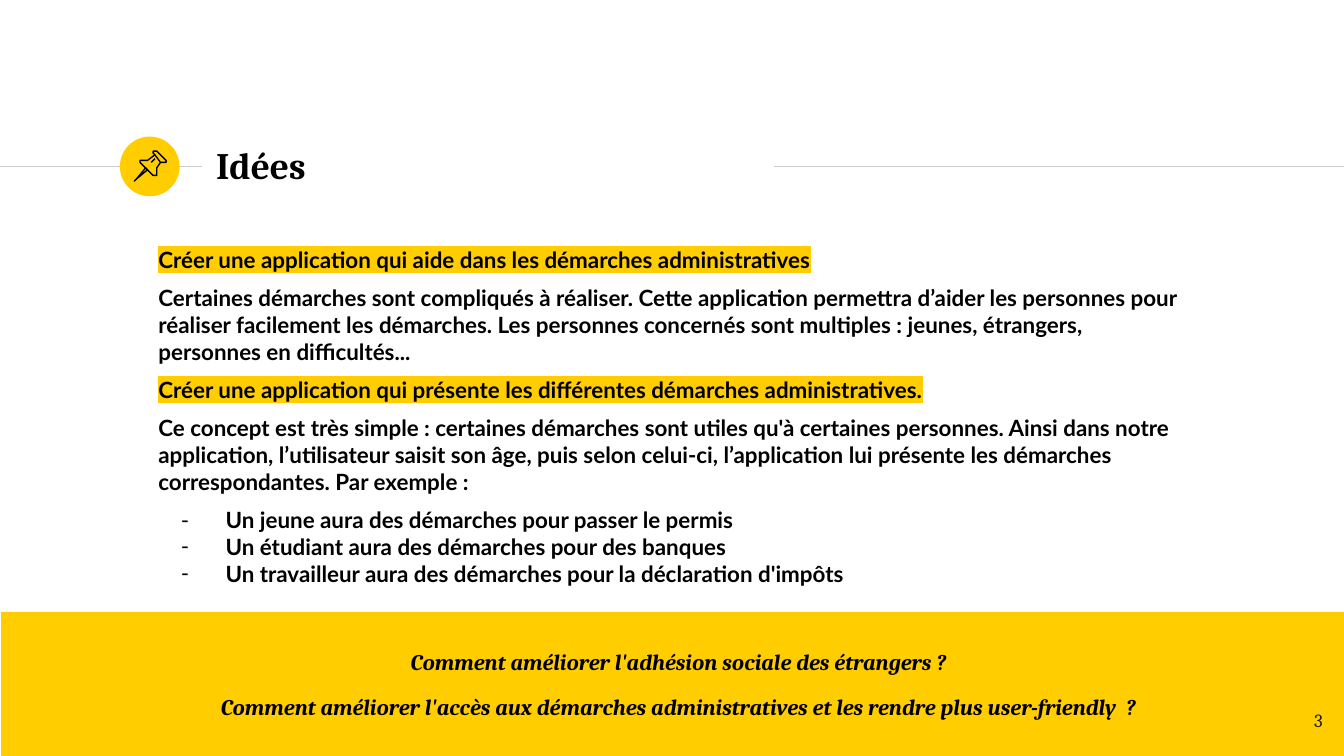
"""Build the "Idées" slide with its pin badge, idea list and closing band."""
from lxml import etree
from pptx import Presentation
from pptx.dml.color import RGBColor
from pptx.enum.shapes import MSO_CONNECTOR, MSO_SHAPE
from pptx.enum.text import MSO_ANCHOR, PP_ALIGN
from pptx.oxml.ns import qn
from pptx.util import Pt

LINE = MSO_CONNECTOR.STRAIGHT
OVAL, RECT = MSO_SHAPE.OVAL, MSO_SHAPE.RECTANGLE
TOP, MID = MSO_ANCHOR.TOP, MSO_ANCHOR.MIDDLE
LEFT, MIDDLE, RIGHT = PP_ALIGN.LEFT, PP_ALIGN.CENTER, PP_ALIGN.RIGHT

COLORS = {"gold": "FFCD00", "black": "000000", "grey": "CCCCCC", "ink": "1D1D1B"}
WIDE, HIGH = 720, 405
RULE_Y = 89.3
RULES = [(0, 108), (414.7, WIDE)]

IDEAS = [
    ("Créer une application qui aide dans les démarches administratives",
     "Certaines démarches sont compliqués à réaliser. Cette application permettra "
     "d’aider les personnes pour réaliser facilement les démarches. Les personnes "
     "concernés sont multiples : jeunes, étrangers, personnes en difficultés..."),
    ("Créer une application qui présente les différentes démarches administratives.",
     "Ce concept est très simple : certaines démarches sont utiles qu'à certaines "
     "personnes. Ainsi dans notre application, l’utilisateur saisit son âge, puis "
     "selon celui-ci, l’application lui présente les démarches correspondantes. "
     "Par exemple :"),
]
CASES = [
    "Un jeune aura des démarches pour passer le permis",
    "Un étudiant aura des démarches pour des banques",
    "Un travailleur aura des démarches pour la déclaration d'impôts",
]
ASKS = [
    "Comment améliorer l'adhésion sociale des étrangers ?",
    "Comment améliorer l'accès aux démarches administratives et les rendre plus "
    "user-friendly  ?",
]

PIN = [
    ([(77.8, 90), (72.7, 96.5), (72, 97.2), (73.4, 96.5), (79.2, 91.4)], True),
    ([(82.8, 82.8), (86.4, 87.1), (87.8, 87.1), (88.6, 86.6), (89.3, 85.7),
      (83.5, 80.6), (82.8, 80.6), (82.1, 81.4), (82.1, 82.1)], True),
    ([(82.8, 82.8), (79.2, 85.7), (75.6, 85.7), (74.9, 86.4), (74.9, 87.1),
      (82.1, 94.3), (82.8, 94.3), (83.5, 93.6), (83.5, 90), (86.4, 87.1)], False),
    ([(80.6, 87.1), (82.8, 85)], False),
]


def paint(name):
    return RGBColor.from_string(COLORS[name])


def add_rule(slide, start, end):
    rule = slide.shapes.add_connector(LINE, Pt(start), Pt(RULE_Y), Pt(end), Pt(RULE_Y))
    rule.line.color.rgb = paint("grey")
    rule.line.width = Pt(0.75)
    etree.SubElement(rule._element.spPr, qn("a:effectLst"))


def add_block(slide, kind, *box):
    block = slide.shapes.add_shape(kind, *map(Pt, box))
    block.shadow.inherit = False
    block.fill.solid()
    block.fill.fore_color.rgb = paint("gold")
    block.line.fill.background()


def add_pin(slide):
    for points, closed in PIN:
        path = slide.shapes.build_freeform(*points[0], scale=Pt(1))
        path.add_line_segments(points[1:], close=closed)
        part = path.convert_to_shape()
        part.shadow.inherit = False
        part.fill.background()
        part.line.color.rgb = paint("black")
        part.line.width = Pt(0.75)


def add_frame(slide, *box, anchor=TOP):
    frame = slide.shapes.add_textbox(*map(Pt, box)).text_frame
    frame.word_wrap = True
    frame.vertical_anchor = anchor
    frame.margin_left = frame.margin_right = Pt(7.2)
    frame.margin_top = frame.margin_bottom = Pt(7.2)
    return frame


def write(frame, text, font="Lato", size=12, color="black", bold=True, italic=False,
          align=LEFT, before=0, after=0, mark=None, bullet=None):
    para = frame.paragraphs[0]
    if para.runs:
        para = frame.add_paragraph()
    para.alignment = align
    para.space_before, para.space_after = Pt(before), Pt(after)
    run = para.add_run()
    run.text = text
    style = run.font
    style.name, style.size = font, Pt(size)
    style.bold, style.italic = bold, italic
    style.color.rgb = paint(color)
    if mark:
        light = etree.Element(qn("a:highlight"))
        etree.SubElement(light, qn("a:srgbClr"), val=COLORS[mark])
        run._r.rPr.find(qn("a:solidFill")).addnext(light)
    if bullet:
        props = para._p.get_or_add_pPr()
        props.set("marL", str(Pt(36)))
        props.set("indent", str(Pt(-24)))
        tint = etree.SubElement(props, qn("a:buClr"))
        etree.SubElement(tint, qn("a:srgbClr"), val=COLORS[color])
        etree.SubElement(props, qn("a:buFont"), typeface=font)
        etree.SubElement(props, qn("a:buChar"), char=bullet)


def main():
    deck = Presentation()
    deck.slide_width, deck.slide_height = Pt(WIDE), Pt(HIGH)
    slide = deck.slides.add_slide(deck.slide_layouts[6])

    for start, end in RULES:
        add_rule(slide, start, end)
    add_block(slide, OVAL, 64.2, 73.2, 32, 32)
    add_block(slide, RECT, 0.6, 327.8, WIDE, 77.2)
    title = add_frame(slide, 108.7, 70.6, 305.3, 34.6, anchor=MID)
    write(title, "Idées", font="Cambria", size=20)
    add_pin(slide)

    body = add_frame(slide, 77.8, 124.6, 563.8, 203)
    for head, detail in IDEAS:
        write(body, head, before=6, mark="gold")
        write(body, detail, before=6)
    for index, case in enumerate(CASES):
        write(body, case, before=0 if index else 6, bullet="-")

    number = add_frame(slide, 672.5, 373.7, 43.2, 31)
    write(number, "3", font="Cambria", size=10, color="ink", bold=False, align=RIGHT)
    band = add_frame(slide, 54.7, 327.8, 617.8, 77.2, anchor=MID)
    for index, ask in enumerate(ASKS):
        write(band, ask, font="Cambria", italic=True, align=MIDDLE,
              before=10 * index, after=10 * index)
    deck.save("out.pptx")


if __name__ == "__main__":
    main()
